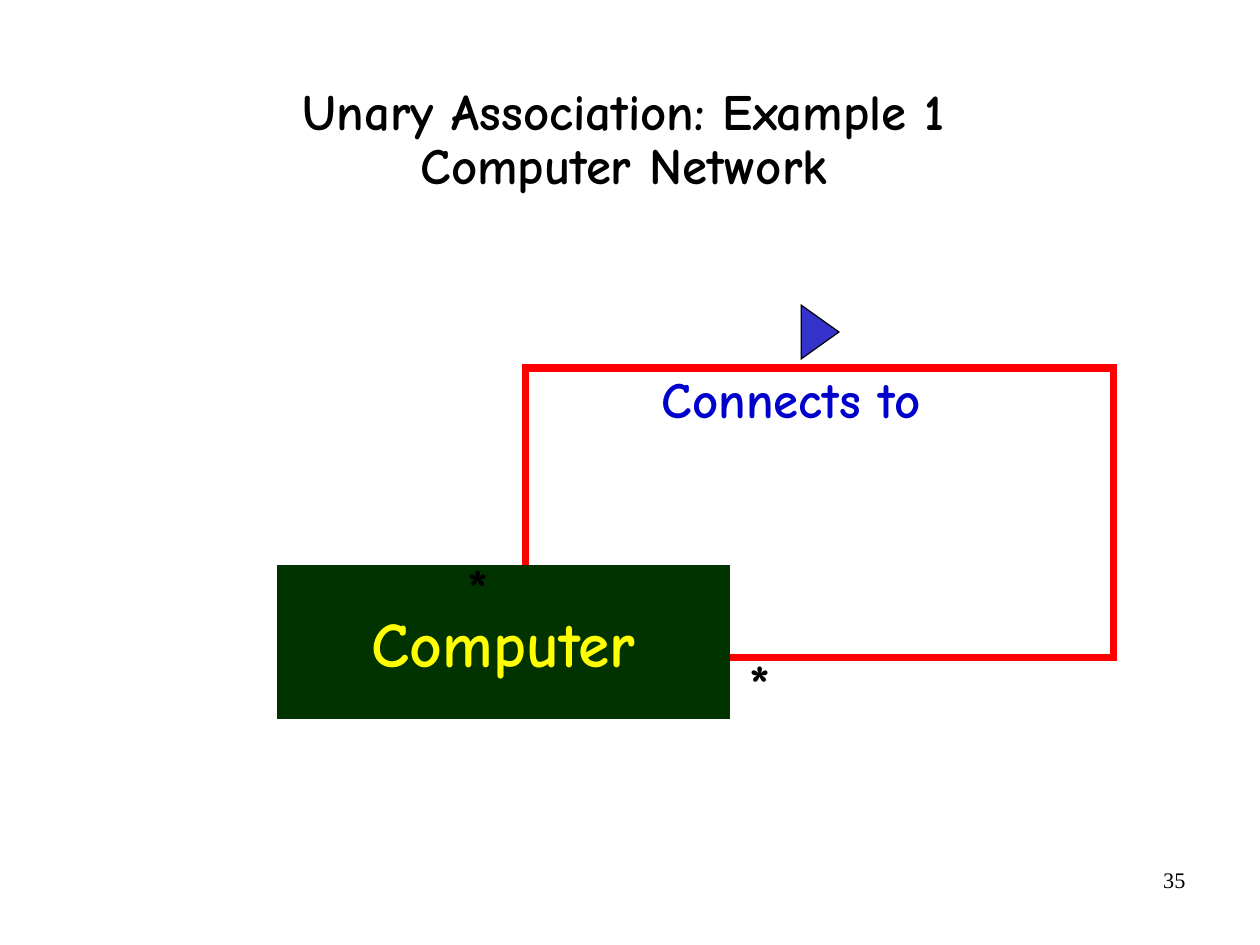
from lxml import etree
from pptx import Presentation
from pptx.dml.color import RGBColor
from pptx.enum.shapes import MSO_SHAPE
from pptx.enum.text import MSO_ANCHOR, MSO_AUTO_SIZE, PP_ALIGN
from pptx.oxml.ns import qn
from pptx.util import Inches, Pt

RECTANGLE, TRIANGLE = MSO_SHAPE.RECTANGLE, MSO_SHAPE.ISOSCELES_TRIANGLE
MIDDLE, TOP = MSO_ANCHOR.MIDDLE, MSO_ANCHOR.TOP
GROW, FIXED = MSO_AUTO_SIZE.SHAPE_TO_FIT_TEXT, MSO_AUTO_SIZE.NONE
LEFT, CENTER, RIGHT = PP_ALIGN.LEFT, PP_ALIGN.CENTER, PP_ALIGN.RIGHT

CM_PER_INCH = 2.54
COLORS = {
    "paper": "FFFFFF", "ink": "000000", "link": "FF0000", "class": "003300",
    "class_name": "FFFF00", "label": "0000CC", "arrow": "3333CC",
}
HEADING_FONT, NUMBER_FONT = "Comic Neue", "Times New Roman"


def color(name):
    return RGBColor.from_string(COLORS[name])


def write(holder, text, size, tint="ink", font=HEADING_FONT, bold=True,
          align=LEFT, anchor=TOP, wrap=True, fit=FIXED, inset=(0.1, 0.05),
          spacing=None, baseline=None):
    """Fill a shape with one paragraph; line ends become line breaks."""
    frame = holder.text_frame
    frame.auto_size, frame.word_wrap = fit, wrap
    frame.vertical_anchor = anchor
    frame.margin_left = frame.margin_right = Inches(inset[0])
    frame.margin_top = frame.margin_bottom = Inches(inset[1])
    para = frame.paragraphs[0]
    para.alignment = align
    if spacing:
        para.line_spacing = spacing
    for index, line in enumerate(text.split("\n")):
        if index:
            para.add_line_break()
        span = para.add_run()
        span.text = line
        span.font.name, span.font.size, span.font.bold = font, Pt(size), bold
        span.font.color.rgb = color(tint)
        if baseline:
            span._r.get_or_add_rPr().set("baseline", str(baseline * 1000))


def add_text(page, box, text, size, **style):
    write(page.shapes.add_textbox(*map(Inches, box)), text, size, **style)


def add_block(page, kind, box, fill, line, weight=0.75):
    block = page.shapes.add_shape(kind, *map(Inches, box))
    block.shadow.inherit = False
    block.fill.solid()
    block.fill.fore_color.rgb = color(fill)
    block.line.color.rgb = color(line)
    block.line.width = Pt(weight)
    # Square outline corners
    outline = block._element.spPr.find(qn("a:ln"))
    etree.SubElement(outline, qn("a:miter")).set("lim", "800000")
    return block


def add_title(page, box):
    title = page.shapes.title
    title.left, title.top, title.width, title.height = map(Inches, box)
    write(title, "Unary Association: Example 1\nComputer Network", 32,
          align=CENTER, anchor=MIDDLE, inset=(0, 0), spacing=0.88)


def add_association(page, box):
    left, top, width, height = box

    # Loop from the class back to itself
    add_block(page, RECTANGLE, (left + 2.17, top + 0.48, width - 2.17, 2.53),
              "paper", "link", 4.5)

    # Class box covering the loop's corner
    computer = add_block(page, RECTANGLE, (left, top + height - 1.34, 3.95, 1.34),
                         "class", "class")
    write(computer, "Computer", 40, tint="class_name", align=CENTER,
          anchor=MIDDLE, wrap=False)

    # Association name and multiplicities
    add_text(page, (left + 3.26, top + 0.43, 3.25, 0.63), "Connects to", 32,
             tint="label", fit=GROW)
    for across, down in ((1.66, 1.54), (4.13, 2.38)):
        add_text(page, (left + across, top + down, 0.3, 0.67), "*", 60,
                 wrap=False, fit=GROW, inset=(0, 0), baseline=-25)

    # Reading direction
    arrow = add_block(page, TRIANGLE, (left + 4.51, top, 0.47, 0.33),
                      "arrow", "ink")
    arrow.rotation = 90


def add_page_number(page, box):
    add_text(page, box, "35", 14, font=NUMBER_FONT, bold=False, align=RIGHT)


def main():
    deck = Presentation()
    deck.slide_width = Inches(28 / CM_PER_INCH)
    deck.slide_height = Inches(21 / CM_PER_INCH)
    page = deck.slides.add_slide(deck.slide_layouts[5])
    add_page_number(page, (7.9, 7.53, 2.57, 0.57))
    add_title(page, (0.76, 0.55, 9.4, 1.37))
    add_association(page, (2.43, 2.74, 7.31, 3.55))
    deck.save("out.pptx")


if __name__ == "__main__":
    main()
